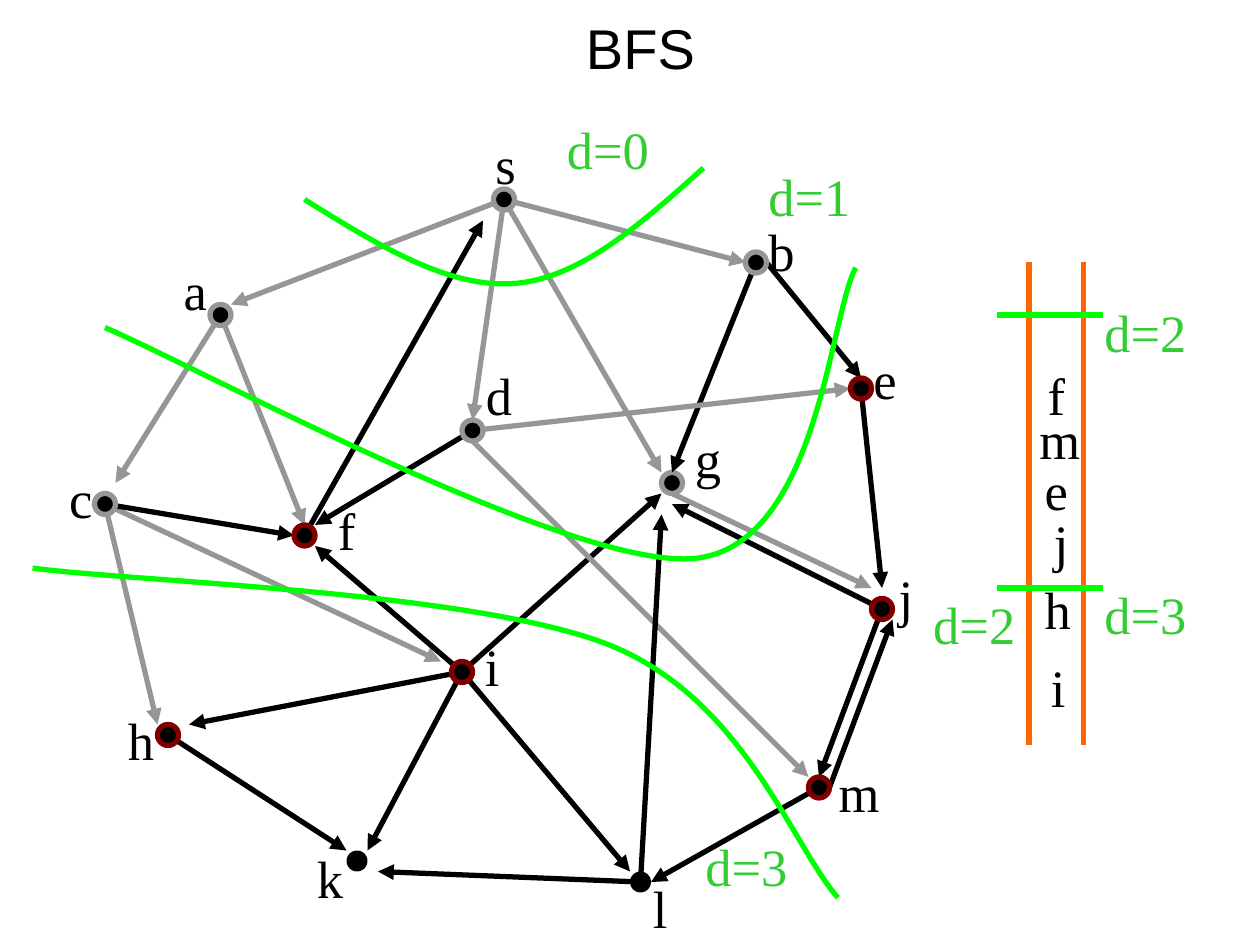
from pptx import Presentation
from pptx.dml.color import RGBColor
from pptx.enum.shapes import MSO_CONNECTOR, MSO_SHAPE
from pptx.enum.text import MSO_ANCHOR, MSO_AUTO_SIZE, PP_ALIGN
from pptx.oxml.ns import qn
from pptx.util import Inches, Pt
from lxml.etree import SubElement

BLACK = RGBColor(0x00, 0x00, 0x00)
GRAY = RGBColor(0x96, 0x96, 0x96)
MAROON = RGBColor(0x80, 0x00, 0x00)
ORANGE = RGBColor(0xFF, 0x66, 0x00)
LIME = RGBColor(0x00, 0xFF, 0x00)
GREEN = RGBColor(0x33, 0xCC, 0x33)

prs = Presentation()
prs.slide_width, prs.slide_height = Inches(10), Inches(7.5)
CELL = prs.slide_width // 120  # 120 columns by 90 rows of square cells
STROKE = Pt(3)

slide = prs.slides.add_slide(prs.slide_layouts[5])
shapes = slide.shapes


def cells(*counts):
    return [round(count * CELL) for count in counts]


def draw_line(start, end, color, arrow=False):
    line = shapes.add_connector(MSO_CONNECTOR.STRAIGHT, *cells(*start, *end))
    line.line.color.rgb = color
    line.line.width = STROKE
    if arrow:
        SubElement(line.line._get_or_add_ln(), qn("a:tailEnd"), type="triangle")
    SubElement(line.element.spPr, qn("a:effectLst"))


title = shapes.title
title.left, title.top, title.width, title.height = cells(10, -3, 102, 15)
title.text_frame.text = "BFS"
title.text_frame.vertical_anchor = MSO_ANCHOR.MIDDLE
heading = title.text_frame.paragraphs[0]
heading.alignment = PP_ALIGN.CENTER
heading.font.name, heading.font.size = "Arial", Pt(32)
heading.font.color.rgb = BLACK

# Vertex: centre column, centre row, ring colour
vertices = {
    "k": (34, 82, None), "l": (61, 84, None), "g": (64, 46, GRAY),
    "s": (48, 19, GRAY), "a": (21, 30, GRAY), "d": (45, 41, GRAY),
    "b": (72, 25, GRAY), "c": (10, 48, GRAY), "f": (29, 51, MAROON),
    "e": (82, 37, MAROON), "m": (78, 75, MAROON), "j": (84, 58, MAROON),
    "h": (16, 70, MAROON), "i": (44, 64, MAROON),
}

# Edge: arrow tip; the edge starts at its first vertex unless shifted below
edge_tips = {
    "sa": (22, 29), "sd": (45, 40), "sg": (63, 45), "sb": (71, 25),
    "bg": (64, 45), "ig": (63, 47), "de": (81, 37), "be": (82, 36),
    "gj": (83, 56), "ej": (84, 56), "dm": (77, 74), "df": (30, 50),
    "af": (29, 50), "ac": (11, 46), "ci": (42, 63), "ik": (35, 81),
    "il": (60, 83), "ih": (18, 69), "ml": (62, 84), "mj": (85, 59),
    "jg": (64, 48), "if": (30, 52), "jm": (78, 74), "lg": (63, 49),
    "lk": (36, 83), "fs": (46, 21), "hk": (33, 81), "ch": (15, 69),
    "cf": (28, 51),
}
start_shifts = {"be": (1, 0), "gj": (0, 1), "dm": (0, 1), "mj": (1, 0)}
explored = {"sa", "sd", "sg", "sb", "de", "gj", "dm", "af", "ac", "ci", "ch"}

# The first three vertices lie under the edges, the others over them
for order, (column, row, ring) in enumerate(vertices.values()):
    if order == 3:
        for edge, tip in edge_tips.items():
            x, y, _ = vertices[edge[0]]
            dx, dy = start_shifts.get(edge, (0, 0))
            draw_line((x + dx, y + dy), tip, GRAY if edge in explored else BLACK, arrow=True)
    dot = shapes.add_shape(MSO_SHAPE.OVAL, *cells(column - 1, row - 1, 2, 2))
    dot.shadow.inherit = False
    dot.fill.solid()
    dot.fill.fore_color.rgb = BLACK
    if ring:
        dot.line.color.rgb = ring
        dot.line.width = STROKE
    else:
        dot.line.fill.background()
draw_line((48, 19), (48, 19), MAROON, arrow=True)

# Queue walls and level marks
for column in (98, 103.2):
    draw_line((column, 25), (column, 71), ORANGE)
for row in (30, 56):
    draw_line((95, row), (105, row), LIME)

# Level borders: a start point, then three points for each cubic curve
borders = [
    [(29, 19), (35.9, 23.3), (42.7, 27.5), (49, 27), (55.3, 26.5), (61.2, 21.2), (67, 16)],
    [(10, 31.2), (19.3, 35.2), (54.1, 54.1), (66, 53.2), (77.9, 52.2), (79, 30.1), (81.5, 25.5)],
    [(3.1, 54.1), (12.4, 55.4), (45.4, 56.3), (58.2, 61.5), (70.9, 66.7), (75.4, 80.5), (79.8, 85.5)],
]
for start, *controls in borders:
    builder = shapes.build_freeform(*cells(*start))
    builder.add_line_segments([cells(*point) for point in controls], close=False)
    border = builder.convert_to_shape()
    border.shadow.inherit = False
    border.fill.background()
    border.line.color.rgb = LIME
    border.line.width = STROKE
    steps = list(border.element.iter(qn("a:lnTo")))
    for first in range(0, len(steps), 3):
        curve = SubElement(steps[first].getparent(), qn("a:cubicBezTo"))
        for step in steps[first:first + 3]:
            curve.append(step[0])
            step.getparent().remove(step)

vertex_labels = [
    ("s", 46, 12), ("a", 16.3, 24), ("c", 5.4, 43.8), ("h", 11, 66.8),
    ("k", 29, 80), ("f", 31, 46.8), ("i", 45, 59.8), ("l", 61, 82.8),
    ("m", 78.7, 71.8), ("j", 84.4, 53.2), ("e", 82, 32.5), ("b", 72, 20.3),
    ("g", 65, 40), ("d", 45.1, 34),
]
queue_labels = [
    ("f", 98.6, 34), ("m", 97.8, 38.2), ("e", 98.3, 43),
    ("j", 99.2, 48), ("h", 98.3, 54.4), ("i", 98.9, 61.8),
]
level_labels = [
    ("d=0", 52.8, 10.6), ("d=1", 72, 15), ("d=2", 87.7, 55.8),
    ("d=3", 66, 78.8), ("d=2", 104, 28), ("d=3", 104, 54.8),
]
label_widths = {"s": 4.3, "a": 4.7, "c": 4.7, "e": 4.7, "f": 4.1,
                "i": 3.8, "j": 3.8, "l": 3.8, "m": 6.3}

for labels, color in ((vertex_labels + queue_labels, BLACK), (level_labels, GREEN)):
    for wording, column, row in labels:
        width = 10.2 if "=" in wording else label_widths.get(wording, 4.9)
        label = shapes.add_textbox(*cells(column, row, width, 7.2))
        frame = label.text_frame
        frame.word_wrap = False
        frame.auto_size = MSO_AUTO_SIZE.SHAPE_TO_FIT_TEXT
        frame.text = wording
        font = frame.paragraphs[0].font
        font.name, font.size = "Times New Roman", Pt(30)
        font.color.rgb = color

prs.save("out.pptx")
